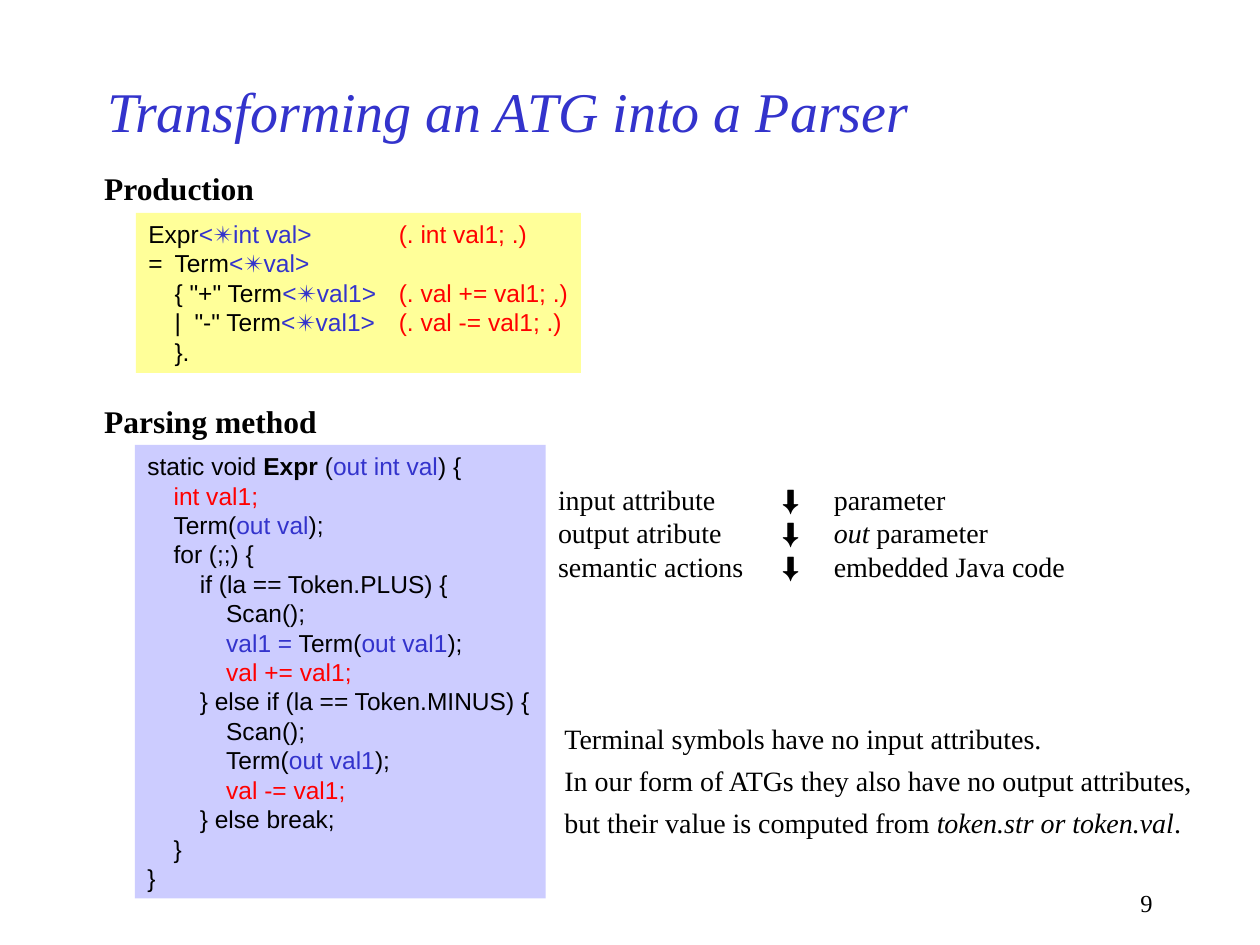
from dataclasses import dataclass, replace

from lxml.etree import SubElement
from pptx import Presentation
from pptx.dml.color import RGBColor
from pptx.enum.shapes import MSO_SHAPE
from pptx.enum.text import MSO_ANCHOR, MSO_AUTO_SIZE, PP_ALIGN
from pptx.oxml.ns import qn
from pptx.util import Cm, Pt

COLORS = {
    "black": "000000",
    "blue": "3333CC",
    "red": "FF0000",
    "yellow panel": "FFFF99",
    "lilac panel": "CCCCFF",
}
SERIF = "Times New Roman"
SANS = "Arial"
SYMBOL = "Roboto"
INDENT = 0.53


@dataclass(frozen=True)
class Span:
    text: str
    color: str = "black"
    font: str = ""
    bold: bool = False
    italic: bool = False


@dataclass(frozen=True)
class Block:
    left: float
    top: float
    width: float
    height: float
    lines: list[list[Span]]
    size: int
    font: str = SERIF
    panel: str = ""
    tabs: tuple[float, ...] = ()
    space_before: float = 0
    fits_text: bool = True
    align: PP_ALIGN = PP_ALIGN.LEFT
    anchor: MSO_ANCHOR = MSO_ANCHOR.TOP


def blue(text: str) -> Span:
    return Span(text, "blue")


def red(text: str) -> Span:
    return Span(text, "red")


def attribute(name: str) -> list[Span]:
    return [blue("<"), Span("✴", "blue", SYMBOL), blue(name + ">")]


def alternative(start: str, action: str) -> list[Span]:
    return [Span("\t" + start + " Term"), *attribute("val1"), red("\t" + action)]


def code(depth: int, *spans: Span) -> list[Span]:
    first, *rest = spans
    return [replace(first, text="\t" * depth + first.text), *rest]


def mapping(source: str, *target: Span) -> list[Span]:
    return [Span(source + "\t"), Span("⬇\t", font=SYMBOL), *target]


def heading(text: str, top: float, width: float) -> Block:
    return Block(1.85, top, width, 1.02, [[Span(text, bold=True)]], 18)


def add_block(page, block: Block) -> None:
    bounds = [Cm(n) for n in (block.left, block.top, block.width, block.height)]
    if block.panel:
        box = page.shapes.add_shape(MSO_SHAPE.RECTANGLE, *bounds)
        box.shadow.inherit = False
        box.fill.solid()
        box.fill.fore_color.rgb = RGBColor.from_string(COLORS[block.panel])
        box.line.fill.background()
    else:
        box = page.shapes.add_textbox(*bounds)
    frame = box.text_frame
    frame.word_wrap = not block.fits_text
    frame.auto_size = MSO_AUTO_SIZE.SHAPE_TO_FIT_TEXT if block.fits_text else MSO_AUTO_SIZE.NONE
    frame.vertical_anchor = block.anchor
    for number, line in enumerate(block.lines):
        para = frame.add_paragraph() if number else frame.paragraphs[0]
        para.alignment = block.align
        para.space_before = Pt(block.space_before if number else 0)
        if block.tabs:
            tab_list = SubElement(para._p.get_or_add_pPr(), qn("a:tabLst"))
            for position in block.tabs:
                SubElement(tab_list, qn("a:tab"), pos=str(Cm(position)), algn="l")
        for span in line:
            run = para.add_run()
            run.text = span.text
            run.font.name = span.font or block.font
            run.font.size = Pt(block.size)
            run.font.bold = span.bold
            run.font.italic = span.italic
            run.font.color.rgb = RGBColor.from_string(COLORS[span.color])


production = [
    [Span("Expr"), *attribute("int val"), red("\t(. int val1; .)")],
    [Span("=\tTerm"), *attribute("val")],
    alternative('{ "+"', "(. val += val1; .)"),
    alternative('|  "-"', "(. val -= val1; .)"),
    code(1, Span("}.")),
]

parsing_method = [
    [Span("static void "), Span("Expr ", bold=True), Span("("), blue("out int val"), Span(") {")],
    code(1, red("int val1;")),
    code(1, Span("Term("), blue("out val"), Span(");")),
    code(1, Span("for (;;) {")),
    code(2, Span("if (la == Token.PLUS) {")),
    code(3, Span("Scan();")),
    code(3, blue("val1 ="), Span(" Term("), blue("out val1"), Span(");")),
    code(3, red("val += val1;")),
    code(2, Span("} else if (la == Token.MINUS) {")),
    code(3, Span("Scan();")),
    code(3, Span("Term("), blue("out val1"), Span(");")),
    code(3, red("val -= val1;")),
    code(2, Span("} else break;")),
    code(1, Span("}")),
    [Span("}")],
]

translations = [
    mapping("input attribute", Span("parameter")),
    mapping("output atribute", Span("out", italic=True), Span(" parameter")),
    mapping("semantic actions", Span("embedded Java code")),
]

remarks = [
    [Span("Terminal symbols have no input attributes.")],
    [Span("In our form of ATGs they also have no output attributes,")],
    [
        Span("but their value is computed from "),
        Span("token.str or token.val", italic=True),
        Span("."),
    ],
]

title = [[Span("Transforming an ATG into a Parser", "blue", italic=True)]]

BLOCKS = [
    Block(1.91, 1.27, 19.05, 1.91, title, 32, fits_text=False, anchor=MSO_ANCHOR.MIDDLE),
    Block(2.74, 4.29, 8.97, 3.23, production, 14, SANS, "yellow panel",
          (INDENT, 2 * INDENT, 5.05)),
    heading("Production", 3.28, 3.53),
    Block(2.72, 8.97, 8.28, 9.14, parsing_method, 14, SANS, "lilac panel",
          (INDENT, 2 * INDENT, 3 * INDENT)),
    heading("Parsing method", 7.98, 4.8),
    Block(11, 9.6, 10.74, 2.29, translations, 16, tabs=(4.52, 5.56)),
    Block(11.13, 14.43, 13.39, 2.57, remarks, 16, space_before=4.8),
    Block(18.21, 17.78, 5.28, 0.84, [[Span("9")]], 14, fits_text=False, align=PP_ALIGN.RIGHT),
]


def main() -> None:
    deck = Presentation()
    deck.slide_width, deck.slide_height = Cm(25.4), Cm(19.05)
    page = deck.slides.add_slide(deck.slide_layouts[6])
    for block in BLOCKS:
        add_block(page, block)
    deck.save("out.pptx")


if __name__ == "__main__":
    main()
